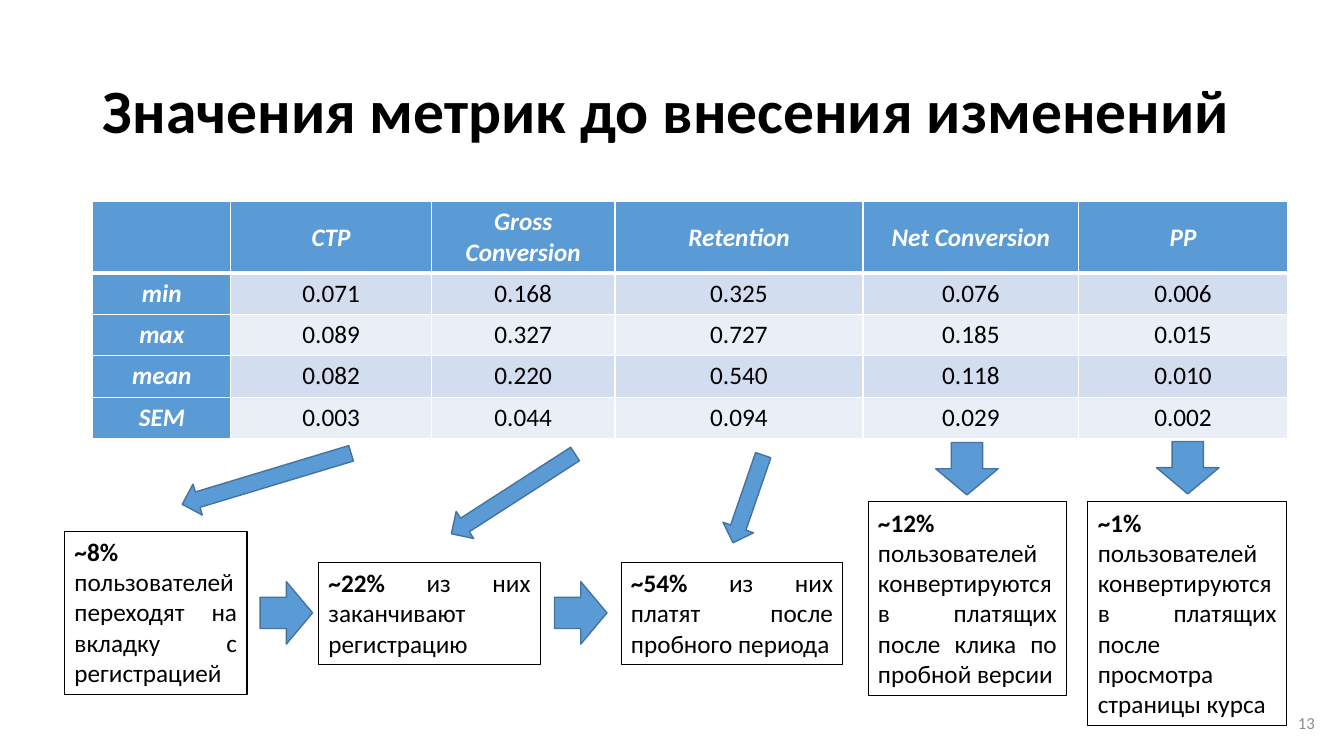
import pptx
import pptx.util
import pptx.dml.color
import pptx.enum.shapes
import pptx.enum.text
import pptx.oxml
import pptx.oxml.ns

Inches, Pt = pptx.util.Inches, pptx.util.Pt
PP_ALIGN = pptx.enum.text.PP_ALIGN
MIDDLE = pptx.enum.text.MSO_ANCHOR.MIDDLE
AUTO_SIZE = pptx.enum.text.MSO_AUTO_SIZE

FONT = "Calibri"
COLORS = {
    "text": "000000", "white": "FFFFFF", "accent": "5B9BD5",
    "arrow_line": "43739E", "band_dark": "D2DEEF", "band_light": "EAEFF7",
    "page_number": "8C8C8C",
}

TITLE = "Значения метрик до внесения изменений"
PAGE_NUMBER = "13"

METRICS = [
    ["", "СTP", "Gross Conversion", "Retention", "Net Conversion", "PP"],
    ["min", "0.071", "0.168", "0.325", "0.076", "0.006"],
    ["max", "0.089", "0.327", "0.727", "0.185", "0.015"],
    ["mean", "0.082", "0.220", "0.540", "0.118", "0.010"],
    ["SEM", "0.003", "0.044", "0.094", "0.029", "0.002"],
]
COLUMN_WIDTHS = [1.37, 1.99, 1.82, 2.46, 2.14, 2.07]
HEADER_HEIGHT, ROW_HEIGHT = 0.7, 0.41

# share, explanation, (left, top, width, height)
CONCLUSIONS = [
    ("~8% ", "пользователей переходят на вкладку с регистрацией",
     (0.64, 5.27, 1.81, 1.62)),
    ("~22% ", "из них заканчивают регистрацию", (3.16, 5.58, 2.2, 1.01)),
    ("~54% ", "из них платят после пробного периода", (6.16, 5.58, 2.2, 1.01)),
    ("~12% ", "пользователей конвертируются в платящих после клика по пробной версии",
     (8.61, 4.98, 1.97, 1.92)),
    ("~1% ", "пользователей конвертируются в платящих после просмотра страницы курса",
     (10.79, 4.98, 1.97, 2.22)),
]

# (left, top, width, height), rotation
ARROWS = [
    ((2.58, 5.77, 0.52, 0.62), 0),
    ((5.5, 5.77, 0.52, 0.62), 0),
    ((1.77, 4.59, 1.75, 0.32), 163.2),
    ((4.36, 4.74, 1.46, 0.32), 147.2),
    ((6.96, 4.79, 0.92, 0.32), 109),
    ((9.33, 4.34, 0.52, 0.62), 90),
    ((11.52, 4.33, 0.52, 0.62), 90),
]


def rgb(name):
    return pptx.dml.color.RGBColor.from_string(COLORS[name])


def inches(box):
    return [Inches(length) for length in box]


def style(paragraph, size, color, align, bold=None, italic=None):
    paragraph.alignment = align
    font = paragraph.font
    font.name, font.size, font.bold, font.italic = FONT, Pt(size), bold, italic
    font.color.rgb = rgb(color)


def set_borders(cell, bottom_width):
    """Draw white cell borders; they have to stand before the fill."""
    widths = {"lnL": 1, "lnR": 1, "lnT": 1, "lnB": bottom_width}
    properties = cell._tc.get_or_add_tcPr()
    for position, (side, width) in enumerate(widths.items()):
        properties.insert(position, pptx.oxml.parse_xml(
            f'<a:{side} {pptx.oxml.ns.nsdecls("a")} w="{Pt(width)}"><a:solidFill>'
            f'<a:srgbClr val="{COLORS["white"]}"/></a:solidFill></a:{side}>'))


def add_title(slide):
    title = slide.shapes.title
    title.left, title.top, title.width, title.height = inches((0.92, 0.4, 11.5, 1.45))
    frame = title.text_frame
    frame.text = TITLE
    frame.auto_size = AUTO_SIZE.NONE
    frame.vertical_anchor = MIDDLE
    frame.paragraphs[0].line_spacing = 0.9
    style(frame.paragraphs[0], 44, "text", PP_ALIGN.LEFT, bold=True)


def add_metrics(slide):
    height = HEADER_HEIGHT + ROW_HEIGHT * (len(METRICS) - 1)
    metrics = slide.shapes.add_table(
        len(METRICS), len(COLUMN_WIDTHS),
        *inches((0.92, 2, sum(COLUMN_WIDTHS), height))).table
    metrics.first_col = True
    for column, width in zip(metrics.columns, COLUMN_WIDTHS):
        column.width = Inches(width)
    for r, values in enumerate(METRICS):
        metrics.rows[r].height = Inches(ROW_HEIGHT if r else HEADER_HEIGHT)
        band = "band_dark" if r % 2 else "band_light"
        for c, value in enumerate(values):
            heading = r == 0 or c == 0
            cell = metrics.cell(r, c)
            cell.text = value
            cell.fill.solid()
            cell.fill.fore_color.rgb = rgb("accent" if heading else band)
            if r == 0:
                cell.vertical_anchor = MIDDLE
            style(cell.text_frame.paragraphs[0], 18, "white" if heading else "text",
                  PP_ALIGN.CENTER, bold=heading, italic=heading)
            set_borders(cell, 1 if r else 3)


def add_conclusion(slide, share, explanation, box):
    conclusion = slide.shapes.add_textbox(*inches(box))
    conclusion.line.color.rgb = rgb("text")
    conclusion.line.width = Pt(0.75)
    frame = conclusion.text_frame
    frame.word_wrap = True
    frame.auto_size = AUTO_SIZE.SHAPE_TO_FIT_TEXT
    paragraph = frame.paragraphs[0]
    style(paragraph, 18, "text", PP_ALIGN.JUSTIFY)
    for words, bold in ((share, True), (explanation, False)):
        run = paragraph.add_run()
        run.text = words
        run.font.bold = bold


def add_arrow(slide, box, rotation):
    arrow = slide.shapes.add_shape(
        pptx.enum.shapes.MSO_SHAPE.RIGHT_ARROW, *inches(box))
    arrow.rotation = rotation
    arrow.shadow.inherit = False
    arrow.fill.solid()
    arrow.fill.fore_color.rgb = rgb("accent")
    arrow.line.color.rgb = rgb("arrow_line")
    arrow.line.width = Pt(1)


def add_page_number(slide):
    frame = slide.shapes.add_textbox(*inches((10.14, 6.97, 3, 0.4))).text_frame
    frame.word_wrap = True
    frame.vertical_anchor = MIDDLE
    frame.text = PAGE_NUMBER
    style(frame.paragraphs[0], 12, "page_number", PP_ALIGN.RIGHT)


def main():
    deck = pptx.Presentation()
    deck.slide_width, deck.slide_height = Inches(13.33), Inches(7.5)
    slide = deck.slides.add_slide(deck.slide_layouts.get_by_name("Title Only"))
    add_title(slide)
    add_metrics(slide)
    for conclusion in CONCLUSIONS:
        add_conclusion(slide, *conclusion)
    for arrow in ARROWS:
        add_arrow(slide, *arrow)
    add_page_number(slide)
    deck.save("out.pptx")


if __name__ == "__main__":
    main()
